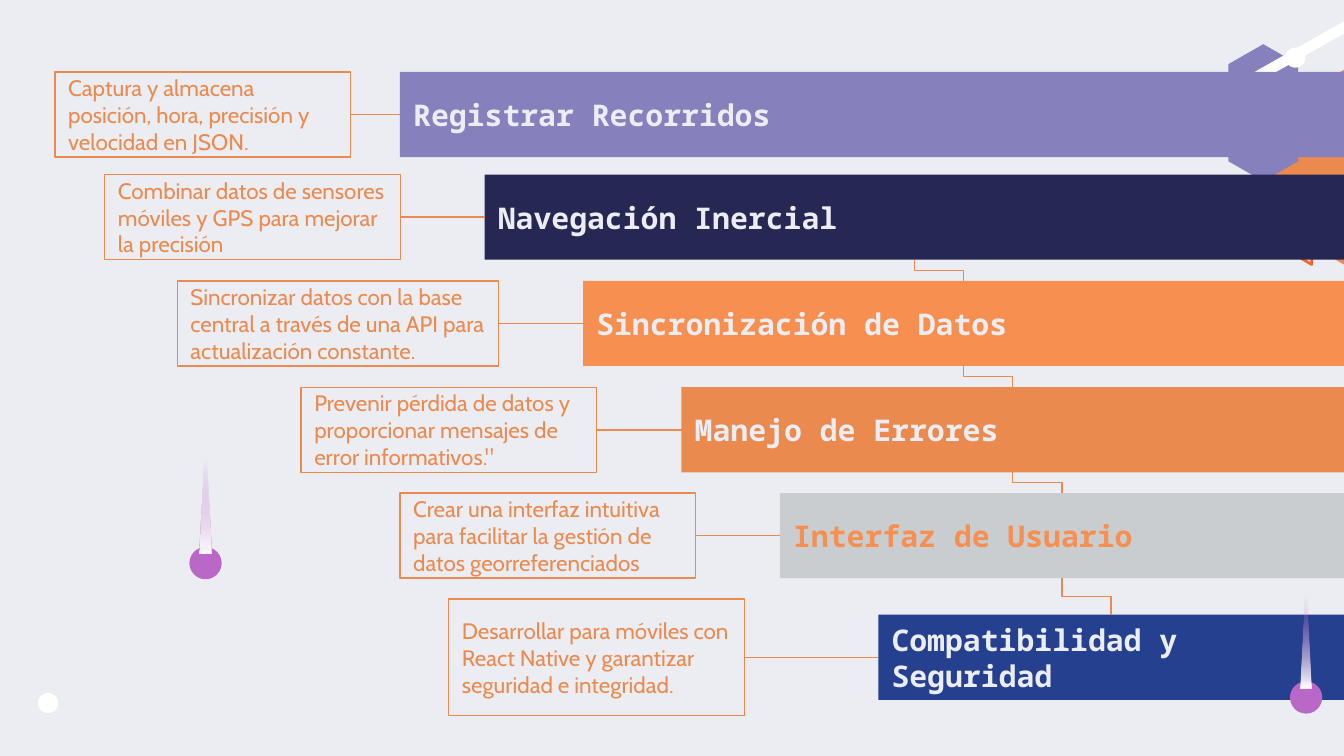
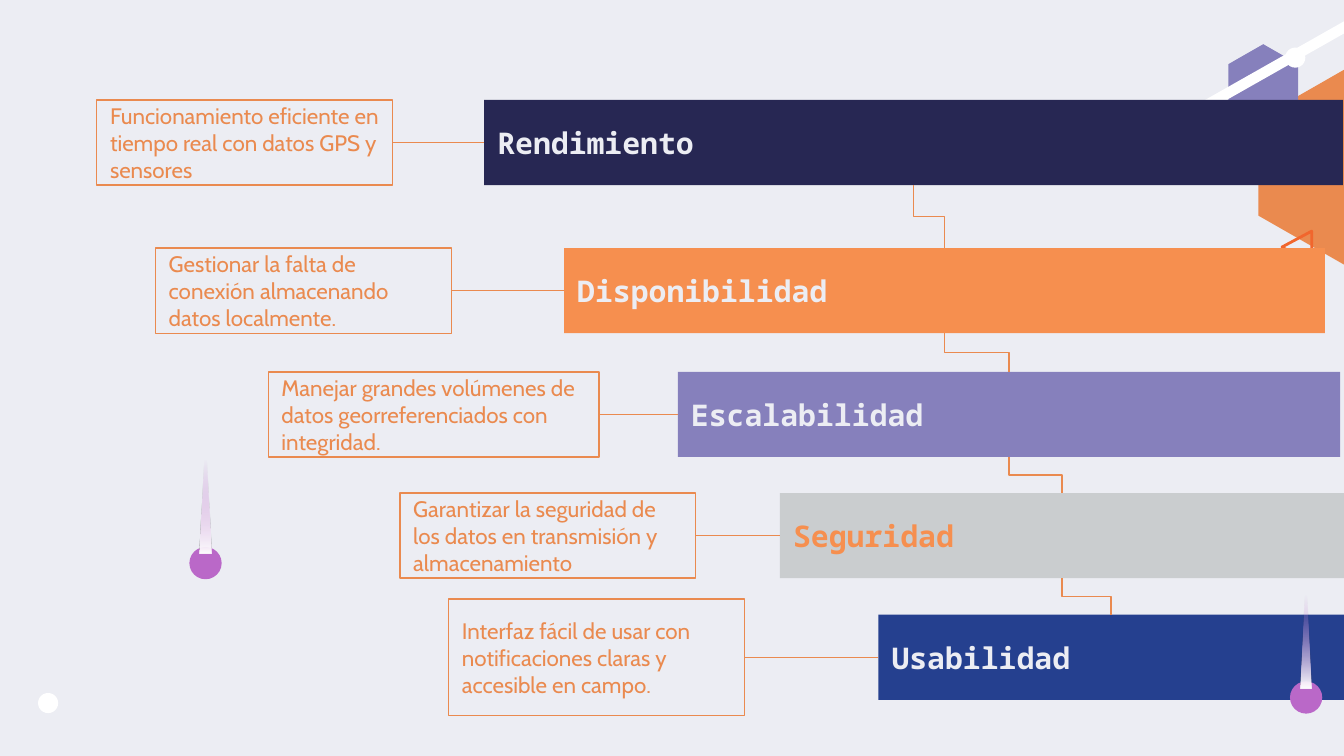
from lxml import etree
from pptx import Presentation
from pptx.dml.color import RGBColor
from pptx.enum import shapes, text
from pptx.oxml import ns, parse_xml
from pptx.util import Cm, Pt

MIST = RGBColor(0xEC, 0xED, 0xF3)
WHITE = RGBColor(0xFF, 0xFF, 0xFF)
LILAC = RGBColor(0x86, 0x80, 0xBC)
NAVY = RGBColor(0x27, 0x27, 0x53)
ORANGE = RGBColor(0xF6, 0x8F, 0x4F)
COPPER = RGBColor(0xEA, 0x8A, 0x4F)
EMBER = RGBColor(0xF1, 0x66, 0x2D)
GREY = RGBColor(0xCA, 0xCD, 0xCF)
BLUE = RGBColor(0x25, 0x40, 0x8F)
ORCHID = RGBColor(0xBA, 0x68, 0xC8)

SLIDE_WIDTH, SLIDE_HEIGHT = 25.4, 14.29
BAR_HEIGHT = 1.61
NOTE_WIDTH = 5.59
TALL_NOTE = 2.21

TAIL_GRADIENT = f"""<a:gradFill {ns.nsdecls('a')}><a:gsLst>
<a:gs pos="0"><a:srgbClr val="{WHITE}"/></a:gs>
<a:gs pos="80000"><a:srgbClr val="{ORCHID}"><a:alpha val="0"/></a:srgbClr></a:gs>
<a:gs pos="100000"><a:srgbClr val="{ORCHID}"><a:alpha val="0"/></a:srgbClr></a:gs>
</a:gsLst><a:lin ang="16200000" scaled="0"/></a:gradFill>"""


class Stairs:
    """Draws stepped bars with notes in one shared style."""

    def __init__(self):
        self.deck = Presentation()
        self.deck.slide_width = Cm(SLIDE_WIDTH)
        self.deck.slide_height = Cm(SLIDE_HEIGHT)
        self.page = None

    def paint(self, shape, fill=None, line=None, weight=0.75):
        shape.shadow.inherit = False
        if fill is None:
            shape.fill.background()
        else:
            shape.fill.solid()
            shape.fill.fore_color.rgb = fill
        if line is None:
            shape.line.fill.background()
        else:
            shape.line.color.rgb = line
            shape.line.width = Pt(weight)
        return shape

    def shape(self, kind, left, top, width, height, fill=None, line=None, parent=None):
        owner = parent or self.page
        shape = owner.shapes.add_shape(kind, Cm(left), Cm(top), Cm(width), Cm(height))
        return self.paint(shape, fill, line)

    def outline(self, points, fill=None, line=None, weight=0.75):
        start, *others = [(Cm(x), Cm(y)) for x, y in points]
        builder = self.page.shapes.build_freeform(*start)
        builder.add_line_segments(others, close=True)
        return self.paint(builder.convert_to_shape(), fill, line, weight)

    def hexagon(self, left, top, width, height, fill):
        hexagon = self.shape(shapes.MSO_SHAPE.HEXAGON, left, top, width, height, fill)
        hexagon.adjustments[0] = 0.286
        hexagon.rotation = 270

    def dot(self, left, top, size, fill, parent=None):
        self.shape(shapes.MSO_SHAPE.OVAL, left, top, size, size, fill, parent=parent)

    def comet(self, left, top):
        group = self.page.shapes.add_group_shape()
        self.dot(left, top, 0.61, ORCHID, group)
        tail = self.shape(shapes.MSO_SHAPE.ISOSCELES_TRIANGLE, left + 0.2, top - 2.08,
                          0.21, 2.21, WHITE, parent=group)
        solid = tail._element.spPr.find(ns.qn("a:solidFill"))
        solid.getparent().replace(solid, parse_xml(TAIL_GRADIENT))

    def label(self, shape, words, size, font, color, bold=False):
        frame = shape.text_frame
        frame.word_wrap = True
        frame.vertical_anchor = text.MSO_ANCHOR.MIDDLE
        frame.margin_left = frame.margin_right = Cm(0.25)
        frame.margin_top = frame.margin_bottom = Cm(0.25)
        para = frame.paragraphs[0]
        para.text = words
        para.alignment = text.PP_ALIGN.LEFT
        para.font.size = Pt(size)
        para.font.name = font
        para.font.bold = bold
        para.font.color.rgb = color

    def line(self, kind, x1, y1, x2, y2):
        line = self.page.shapes.add_connector(kind, Cm(x1), Cm(y1), Cm(x2), Cm(y2))
        line.line.color.rgb = COPPER
        line.line.width = Pt(0.75)
        etree.SubElement(line._element.spPr, ns.qn("a:effectLst"))
        return line

    def elbow(self, x1, y1, x2, y2):
        center_x, center_y = (x1 + x2) / 2, (y1 + y2) / 2
        half_width, half_height = (x2 - x1) / 2, (y2 - y1) / 2
        elbow = self.line(shapes.MSO_CONNECTOR.ELBOW,
                          center_x + half_height, center_y - half_width,
                          center_x - half_height, center_y + half_width)
        elbow._element.spPr.find(ns.qn("a:xfrm")).set("rot", str(270 * 60000))

    def step(self, title, left, top, right, fill, note, note_left,
             note_width=NOTE_WIDTH, note_height=BAR_HEIGHT):
        middle = top + BAR_HEIGHT / 2
        bar = self.shape(shapes.MSO_SHAPE.RECTANGLE, left, top, right - left, BAR_HEIGHT, fill)
        self.label(bar, title, 16, "Noto Sans Mono", ORANGE if fill == GREY else MIST, True)
        box = self.shape(shapes.MSO_SHAPE.RECTANGLE, note_left, middle - note_height / 2,
                         note_width, note_height, line=COPPER)
        self.label(box, note, 12, "Cabin", COPPER)
        self.line(shapes.MSO_CONNECTOR.STRAIGHT, left, middle, note_left + note_width, middle)

    def backdrop(self):
        self.page = self.deck.slides.add_slide(self.deck.slide_layouts[6])
        self.page.background.fill.solid()
        self.page.background.fill.fore_color.rgb = MIST
        self.hexagon(23.57, 1.52, 3.71, 3.28, COPPER)
        self.outline([(24.79, 4.37), (24.23, 4.67), (24.79, 5)], line=EMBER, weight=1.5)
        self.hexagon(22.58, 1.47, 2.59, 1.32, LILAC)
        self.outline([(22.53, 2.03), (26.52, -0.23), (26.52, 0), (22.53, 2.26)], WHITE)

    def slide(self, steps, first_linked=0):
        self.backdrop()
        for step in steps:
            self.step(*step)
        linked = steps[first_linked:]
        for upper, lower in zip(linked, linked[1:]):
            _, left, top, right, *_ = upper
            _, next_left, next_top, next_right, *_ = lower
            self.elbow((left + right) / 2, top + BAR_HEIGHT,
                       (next_left + next_right) / 2, next_top)
        self.comet(3.58, 10.34)
        self.comet(24.38, 12.88)
        self.dot(0.72, 13.1, 0.38, WHITE)
        self.dot(24.29, 0.9, 0.38, WHITE)


FUNCTIONS = [
    ("Registrar Recorridos", 7.56, 1.36, SLIDE_WIDTH, LILAC,
     "Captura y almacena posición, hora, precisión y velocidad en JSON.", 1.04),
    ("Navegación Inercial", 9.16, 3.3, SLIDE_WIDTH, NAVY,
     "Combinar datos de sensores móviles y GPS para mejorar la precisión", 1.98),
    ("Sincronización de Datos", 11.02, 5.31, SLIDE_WIDTH, ORANGE,
     "Sincronizar datos con la base central a través de una API "
     "para actualización constante.", 3.35, 6.07),
    ("Manejo de Errores", 12.88, 7.32, SLIDE_WIDTH, COPPER,
     'Prevenir pérdida de datos y proporcionar mensajes de error informativos."', 5.69),
    ("Interfaz de Usuario", 14.74, 9.32, SLIDE_WIDTH, GREY,
     "Crear una interfaz intuitiva para facilitar la gestión de "
     "datos georreferenciados", 7.56),
    ("Compatibilidad y Seguridad", 16.6, 11.62, SLIDE_WIDTH, BLUE,
     "Desarrollar para móviles con React Native y garantizar "
     "seguridad e integridad.", 8.48, NOTE_WIDTH, TALL_NOTE),
]

QUALITIES = [
    ("Rendimiento", 9.15, 1.89, 25.38, NAVY,
     "Funcionamiento eficiente en tiempo real con datos GPS y sensores", 1.83),
    ("Disponibilidad", 10.66, 4.69, 25.04, ORANGE,
     "Gestionar la falta de conexión almacenando datos localmente.", 2.94),
    ("Escalabilidad", 12.81, 7.03, 25.33, LILAC,
     "Manejar grandes volúmenes de datos georreferenciados con integridad.", 5.07, 6.25),
    ("Seguridad", 14.74, 9.32, SLIDE_WIDTH, GREY,
     "Garantizar la seguridad de los datos en transmisión y almacenamiento", 7.56),
    ("Usabilidad", 16.6, 11.62, SLIDE_WIDTH, BLUE,
     "Interfaz fácil de usar con notificaciones claras y accesible en campo.",
     8.48, NOTE_WIDTH, TALL_NOTE),
]


def main():
    stairs = Stairs()
    stairs.slide(FUNCTIONS, first_linked=1)
    stairs.slide(QUALITIES)
    stairs.deck.save("out.pptx")


if __name__ == "__main__":
    main()
